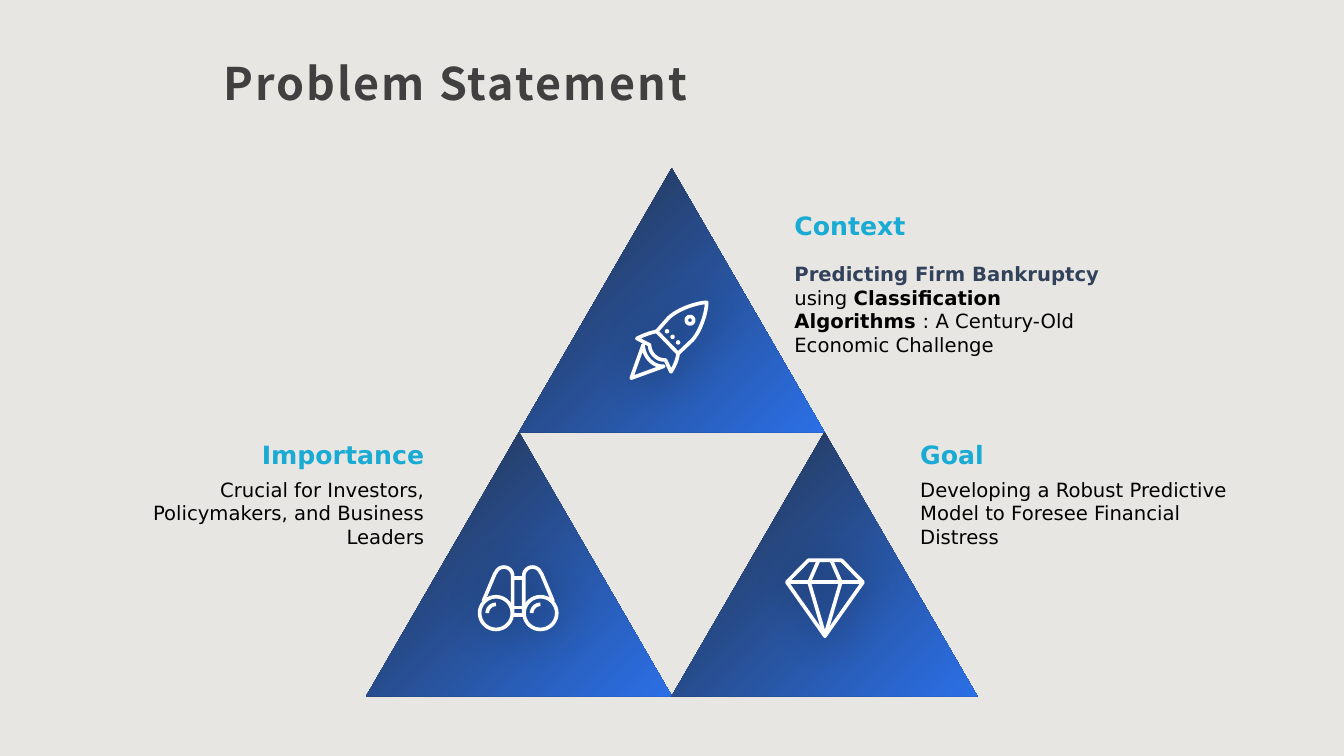
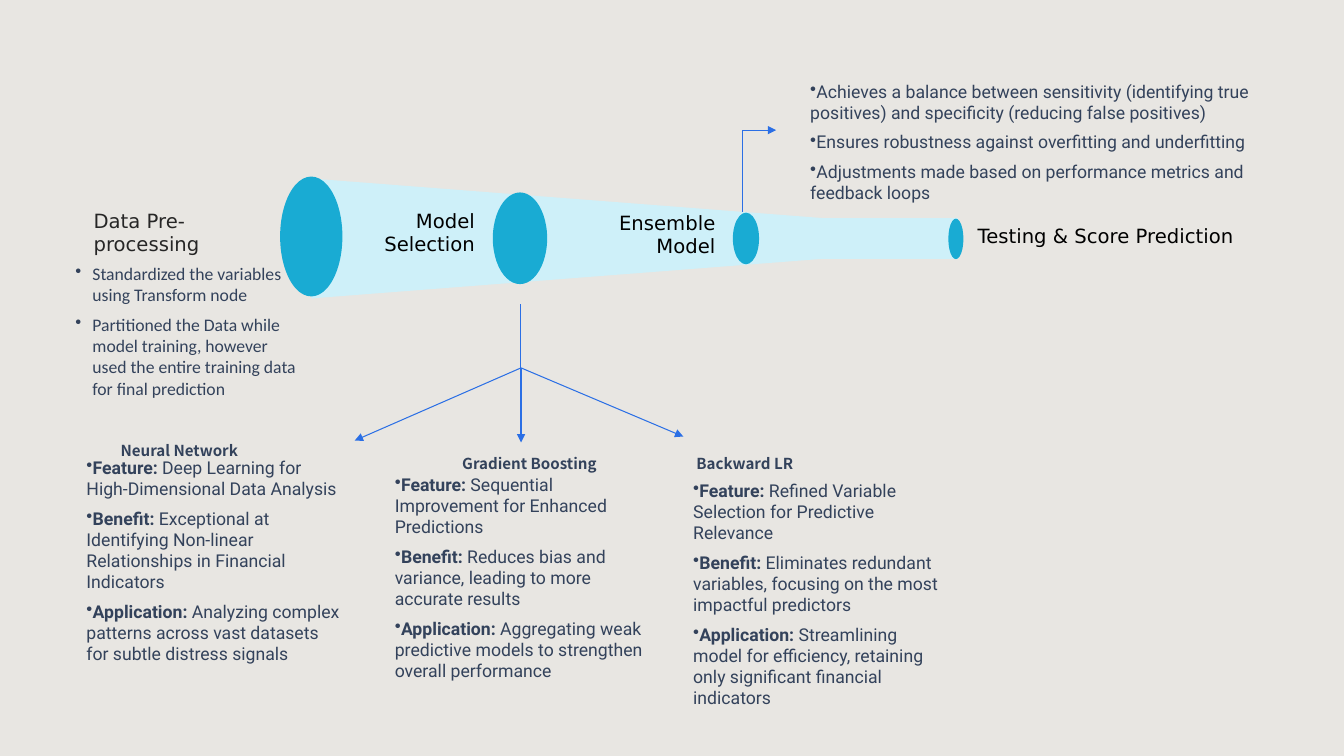
from math import cos, radians, sin

from lxml.etree import SubElement
from pptx import Presentation
from pptx.dml.color import RGBColor
from pptx.enum.shapes import MSO_CONNECTOR as Link, MSO_SHAPE as Preset
from pptx.enum.text import MSO_ANCHOR as Anchor, PP_ALIGN as Align
from pptx.oxml.ns import qn
from pptx.util import Cm, Pt

COLORS = {
    "background": "E8E6E2",
    "title": "404040",
    "accent": "19ABD3",
    "funnel": "CEF0F9",
    "body": "33425B",
    "stage": "262626",
    "black": "000000",
    "white": "FFFFFF",
    "dark": "242F41",
    "blue": "2B6FE5",
}
PLAIN, ROBOTO, HEAVY, CALIBRI = "DejaVu Sans", "Roboto", "Noto Sans CJK JP", "Calibri"
NO_INSETS = (0, 0, 0, 0)
BOX_INSETS = (0.25, 0.13, 0.25, 0.13)
ICON_UNIT = 0.02  # cm


def rgb(name):
    return RGBColor.from_string(COLORS[name])


class Deck:
    """Holds the shared style and the slide being filled; lengths are in cm."""

    def __init__(self):
        self.file = Presentation()
        self.file.slide_width, self.file.slide_height = Cm(33.87), Cm(19.05)
        self.slide = None

    def new_slide(self):
        self.slide = self.file.slides.add_slide(self.file.slide_layouts[6])
        self.slide.background.fill.solid()
        self.slide.background.fill.fore_color.rgb = rgb("background")

    def title(self, words):
        paragraph = self.text((5.33, 0, 24.36, 3), [words], 32, HEAVY, "title", bold=True,
                              anchor=Anchor.BOTTOM, insets=(0.3, 0.3, 0.3, 0.25))[0]
        paragraph.line_spacing = 1.3
        paragraph.font._rPr.set("spc", "150")

    def text(self, box, paragraphs, size, font, color, bold=None, align=Align.LEFT,
             anchor=Anchor.TOP, insets=NO_INSETS, after=0, bullet=False, indent=0):
        """Add a text box; a paragraph is a string or a list of (words, bold, color) runs."""
        frame = self.slide.shapes.add_textbox(*map(Cm, box)).text_frame
        frame.word_wrap = True
        frame.vertical_anchor = anchor
        (frame.margin_left, frame.margin_top,
         frame.margin_right, frame.margin_bottom) = map(Cm, insets)
        for index, content in enumerate(paragraphs):
            paragraph = frame.add_paragraph() if index else frame.paragraphs[0]
            paragraph.alignment = align
            paragraph.space_after = Pt(after)
            if bullet:
                properties = paragraph._p.get_or_add_pPr()
                properties.set("marL", str(Cm(indent)))
                properties.set("indent", str(-Cm(indent)))
                SubElement(properties, qn("a:buChar")).set("char", "•")
            paragraph.font.size, paragraph.font.name = Pt(size), font
            paragraph.font.bold = bold
            paragraph.font.color.rgb = rgb(color)
            runs = [(content, None, None)] if isinstance(content, str) else content
            for words, run_bold, run_color in runs:
                run = paragraph.add_run()
                run.text = words
                if run_bold:
                    run.font.bold = True
                if run_color:
                    run.font.color.rgb = rgb(run_color)
        return frame.paragraphs

    def shape(self, preset, box, color=None):
        shape = self.slide.shapes.add_shape(preset, *map(Cm, box))
        shape.shadow.inherit = False
        shape.line.fill.background()
        if color:
            shape.fill.solid()
            shape.fill.fore_color.rgb = rgb(color)
        return shape

    def triangle(self, left, top, width, height):
        fill = self.shape(Preset.ISOSCELES_TRIANGLE, (left, top, width, height)).fill
        fill.gradient()
        fill.gradient_angle = 315
        for stop, color, position in zip(fill.gradient_stops, ("dark", "blue"), (0, 0.99)):
            stop.color.rgb = rgb(color)
            stop.position = position

    def funnel(self, left, top, length, thickness, taper):
        """Add a trapezoid lying on its side, narrow end to the right."""
        shift = (length - thickness) / 2
        section = self.shape(Preset.TRAPEZOID,
                             (left + shift, top - shift, thickness, length), "funnel")
        section.rotation = 90
        section.adjustments[0] = taper

    def line(self, start, end, width=0.75, arrow=False):
        link = self.slide.shapes.add_connector(Link.STRAIGHT, *map(Cm, (*start, *end)))
        link.line.color.rgb = rgb("blue")
        link.line.width = Pt(width)
        if arrow:
            SubElement(link.line._get_or_add_ln(), qn("a:tailEnd")).set("type", "triangle")
        SubElement(link._element.spPr, qn("a:effectLst"))

    def icon(self, left, top, strokes):
        """Draw white strokes, given in icon units, with a soft shadow."""
        scaled = [[(x * Cm(ICON_UNIT), y * Cm(ICON_UNIT)) for x, y in stroke]
                  for stroke in strokes]
        builder = self.slide.shapes.build_freeform(*scaled[0][0])
        for index, stroke in enumerate(scaled):
            if index:
                builder.move_to(*stroke[0])
            builder.add_line_segments(stroke[1:], close=stroke[0] == stroke[-1])
        drawing = builder.convert_to_shape(Cm(left), Cm(top))
        drawing.fill.background()
        drawing.line.color.rgb = rgb("white")
        drawing.line.width = Pt(2.6)
        drawing.shadow.inherit = False
        effects = drawing._element.spPr.find(qn("a:effectLst"))
        shadow = SubElement(effects, qn("a:outerShdw"), blurRad=str(Pt(30)),
                            dist=str(Pt(3)), dir="2700000", algn="tl", rotWithShape="0")
        black = SubElement(shadow, qn("a:srgbClr"), val=COLORS["black"])
        SubElement(black, qn("a:alpha"), val="40000")


def arc(x, y, radius, start=0, end=360):
    """Points along an arc, angles clockwise from the right."""
    points = [(x + radius * cos(radians(a)), y + radius * sin(radians(a)))
              for a in range(start, end + 1, 10)]
    return points[:-1] + points[:1] if end - start == 360 else points


def curve(a, b, c, d, steps=12):
    """Points along a cubic Bézier curve."""
    return [tuple((1 - t) ** 3 * p + 3 * (1 - t) ** 2 * t * q + 3 * (1 - t) * t * t * r + t ** 3 * s
                  for p, q, r, s in zip(a, b, c, d))
            for t in (i / steps for i in range(steps + 1))]


def rocket():
    body = [(35, 39), *curve((50, 22), (63, 10), (86, 3), (98, 2.5)),
            *curve((98, 2.5), (98, 14), (91, 38), (80, 50)), (62, 67), (35, 39)]
    fins = [*curve((35, 39), (26, 41), (18, 44), (10, 48)),
            *curve((26, 56), (26, 66), (35, 76), (46, 75)),
            *curve((53, 90), (58, 82), (61, 75), (62, 67))]
    flame = [(3, 98), *curve((44, 83), (30, 84), (18, 70), (18, 56)), (3, 98)]
    rivets = [arc(x, y, 0.5) for x, y in ((48, 39), (55, 46), (62, 53))]
    return [body, fins, flame, arc(77, 25, 4.6), *rivets]


def binoculars():
    barrel = [(7, 45), (22, 9.5), *arc(33, 13, 11, 200, 360), (44, 60)]
    strokes = [barrel, [(102 - x, y) for x, y in barrel]]
    for center in (23, 79):
        strokes += [arc(center, 60, 20.6), arc(center, 60, 11, 180, 270)]
    return strokes + [[(44, y), (58, y)] for y in (16, 53, 62)]


def diamond():
    return [[(29, 2.5), (71, 2.5), (98, 30), (50, 98), (2, 30), (29, 2.5)],
            [(2, 30), (98, 30)],
            [(42, 2.5), (30, 30), (50, 98), (70, 30), (58, 2.5)]]


def problem_statement(deck):
    deck.new_slide()
    deck.title("Problem Statement")
    center, top, side, height = 16.93, 4.24, 7.7, 6.65
    for left, row in ((center - side, 1), (center - side / 2, 0), (center, 1)):
        deck.triangle(left, top + row * height, side, height)
    deck.icon(12.04, 14.25, binoculars())
    deck.icon(15.85, 7.57, rocket())
    deck.icon(19.79, 14.07, diamond())

    context = [("Predicting Firm Bankruptcy ", True, "body"), ("using ", False, None),
               ("Classification Algorithms ", True, None),
               (": A Century-Old Economic Challenge", False, None)]
    points = [
        ("Context", context, 20.02, 5.05, 6.6, Align.LEFT),
        ("Goal", "Developing a Robust Predictive Model to Foresee Financial Distress",
         23.19, 10.82, 12.04, Align.LEFT),
        ("Importance", "Crucial for Investors, Policymakers, and Business Leaders",
         2.43, 10.82, 12.04, Align.RIGHT),
    ]
    for heading, detail, left, heading_top, detail_top, align in points:
        deck.text((left, heading_top, 8.26, 1.02), [heading], 18, PLAIN, "accent",
                  bold=True, align=align, anchor=Anchor.BOTTOM)
        deck.text((left, detail_top, 8.26, 2.39), [detail], 14, PLAIN, "black", align=align)


def model_pipeline(deck):
    deck.new_slide()
    deck.funnel(7.85, 4.5, 12.88, 3.02, 0.33)
    deck.funnel(20.71, 5.5, 3.43, 1.02, 0)
    for ring in ((7.06, 4.45, 1.57, 3.02), (12.42, 4.85, 1.37, 2.31),
                 (18.47, 5.36, 0.66, 1.3), (23.9, 5.51, 0.38, 1.02)):
        deck.shape(Preset.OVAL, ring, "accent")

    stages = [("Data Pre-processing", (2.36, 5.26, 4.6, 1.19), "stage", Align.LEFT),
              ("Model Selection", (9.68, 5.26, 2.29, 1.19), "black", Align.RIGHT),
              ("Ensemble Model", (15.57, 5.31, 2.46, 1.19), "black", Align.RIGHT),
              ("Testing & Score Prediction", (24.64, 5.64, 6.86, 0.61), "black", Align.LEFT)]
    for stage, box, color, align in stages:
        deck.text(box, [stage], 14, PLAIN, color, align=align, anchor=Anchor.MIDDLE, after=6)

    deck.text((1.9, 6.63, 5.64, 4.27),
              ["Standardized the variables using Transform node",
               "Partitioned the Data while model training, however used the entire "
               "training data for final prediction"],
              12.6, CALIBRI, "body", after=6, bullet=True, indent=0.43)
    notes = {"size": 12.6, "font": ROBOTO, "color": "body", "insets": BOX_INSETS,
             "after": 6, "bullet": True}
    deck.text((20.17, 1.9, 12.29, 3.38),
              ["Achieves a balance between sensitivity (identifying true positives) and "
               "specificity (reducing false positives)",
               "Ensures robustness against overfitting and underfitting",
               "Adjustments made based on performance metrics and feedback loops"], **notes)

    corner, fork = (18.72, 3.28), (13.13, 9.27)
    deck.line((18.72, 5.33), corner)
    deck.line(corner, (19.56, 3.28), arrow=True)
    deck.line((13.11, 9.35), (13.11, 7.65), width=1)
    for tip in ((8.94, 11.1), (13.13, 11.15), (17.22, 11)):
        deck.line(fork, tip, arrow=True)

    models = [
        ("Neural Network", (2.79, 11), (1.93, 11.38),
         ("Deep Learning for High-Dimensional Data Analysis",
          "Exceptional at Identifying Non-linear Relationships in Financial Indicators",
          "Analyzing complex patterns across vast datasets for subtle distress signals")),
        ("Gradient Boosting", (11.4, 11.33), (9.7, 11.81),
         ("Sequential Improvement for Enhanced Predictions",
          "Reduces bias and variance, leading to more accurate results",
          "Aggregating weak predictive models to strengthen overall performance")),
        ("Backward LR", (17.3, 11.33), (17.22, 11.96),
         ("Refined Variable Selection for Predictive Relevance",
          "Eliminates redundant variables, focusing on the most impactful predictors",
          "Streamlining model for efficiency, retaining only significant financial indicators")),
    ]
    for model, name_at, traits_at, traits in models:
        deck.text((*name_at, 4.47, 0.71), [model], 10.8, HEAVY, "body", bold=True,
                  insets=BOX_INSETS, after=6)
        labelled = [[(f"{label}:", True, None), (f" {trait}", False, None)]
                    for label, trait in zip(("Feature", "Benefit", "Application"), traits)]
        deck.text((*traits_at, 6.93, 5.82), labelled, **notes)


def main():
    deck = Deck()
    problem_statement(deck)
    model_pipeline(deck)
    deck.file.save("out.pptx")


if __name__ == "__main__":
    main()
